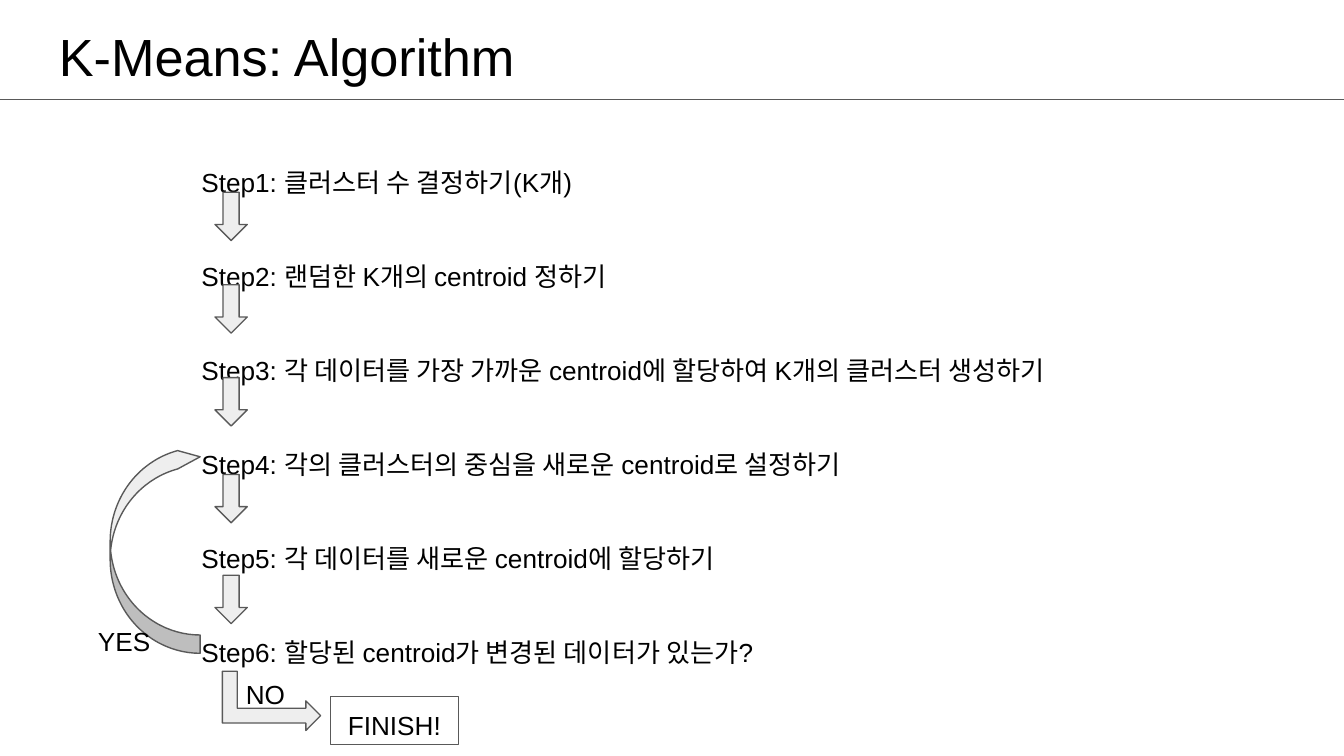
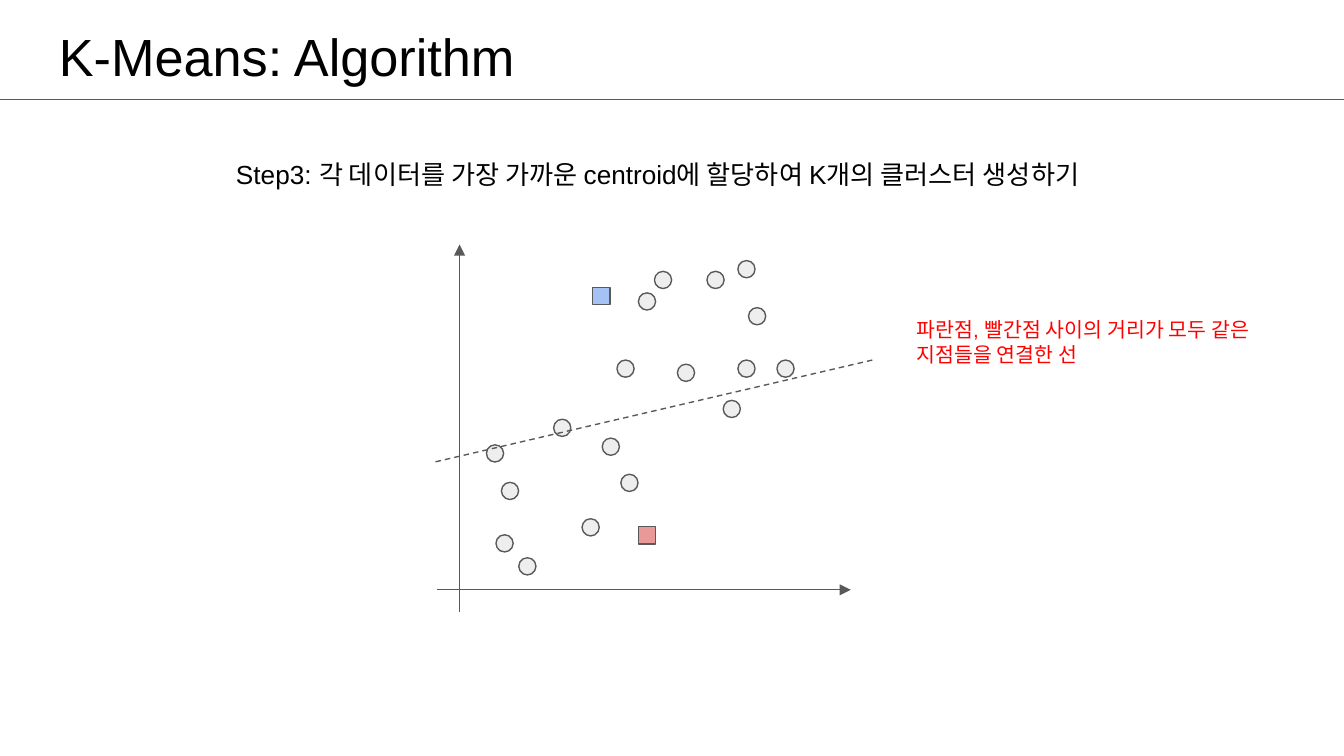
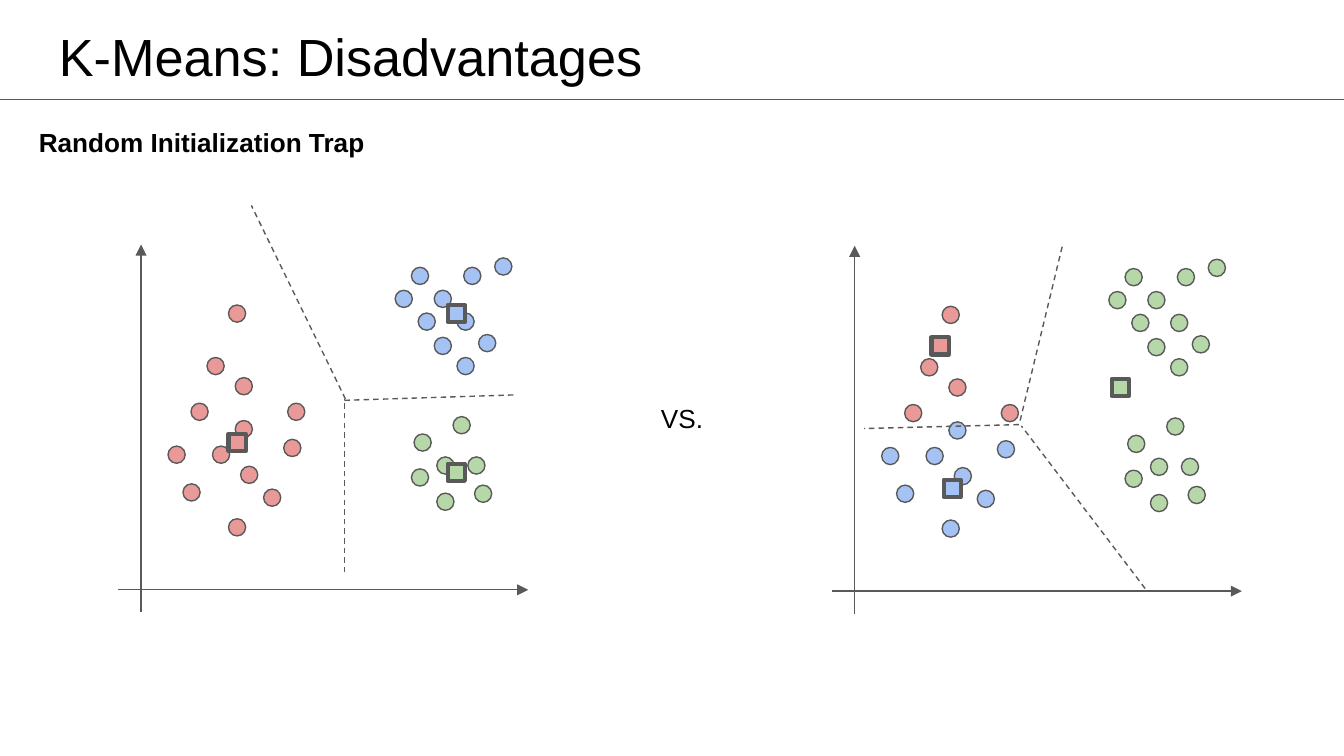
from lxml.etree import SubElement
from pptx import Presentation
from pptx.dml.color import RGBColor
from pptx.enum.dml import MSO_LINE
from pptx.enum.shapes import MSO_CONNECTOR, MSO_SHAPE
from pptx.enum.text import MSO_ANCHOR, PP_ALIGN
from pptx.oxml.ns import qn
from pptx.util import Pt

INK, RULE, GRAY = "000000", "595959", "EEEEEE"
RED, BLUE, GREEN, NOTE = "EA9999", "A4C2F4", "B6D7A8", "FF0000"


def color(code):
    return RGBColor.from_string(code)


def put(item, values):
    for name, value in values.items():
        setattr(item, name, value)


class Deck:
    font = "Arial"
    dot = 9.2   # side of a data point
    pad = 7.2   # text inset

    def __init__(self):
        self.show = Presentation()
        put(self.show, {"slide_width": Pt(720), "slide_height": Pt(405)})

    def page(self, title):
        """New slide with the shared title and rule."""
        self.slide = self.show.slides.add_slide(self.show.slide_layouts[6])
        self.text([title], 24.5, 5.8, 671, 45.4, size=28)
        self.line((0, 53.2), (720.7, 53.2))

    def label(self, frame, lines, size=14, ink=INK, bold=None, pad=None,
              form=None):
        pad = self.pad if pad is None else pad
        put(frame, {"word_wrap": True, "vertical_anchor": MSO_ANCHOR.TOP,
                    "margin_left": Pt(self.pad), "margin_right": Pt(self.pad),
                    "margin_top": Pt(pad), "margin_bottom": Pt(pad)})
        for num, words in enumerate(lines):
            para = frame.add_paragraph() if num else frame.paragraphs[0]
            put(para, form or {})
            if num == 0:
                para.space_before = Pt(0)
            run = para.add_run()
            run.text = words
            put(run.font, {"name": self.font, "size": Pt(size), "bold": bold})
            run.font.color.rgb = color(ink)

    def text(self, lines, left, top, width, height, **look):
        box = self.slide.shapes.add_textbox(
            Pt(left), Pt(top), Pt(width), Pt(height))
        self.label(box.text_frame, lines, **look)

    def shape(self, kind, left, top, width, height, fill=None, edge=0.75,
              turn=0, bends=()):
        item = self.slide.shapes.add_shape(
            kind, Pt(left), Pt(top), Pt(width), Pt(height))
        item.shadow.inherit = False
        item.rotation = turn
        for num, bend in enumerate(bends):
            item.adjustments[num] = bend
        if fill:
            item.fill.solid()
            item.fill.fore_color.rgb = color(fill)
        else:
            item.fill.background()
        item.line.color.rgb = color(RULE)
        item.line.width = Pt(edge)
        return item

    def line(self, start, end, dash=False, arrow=False):
        item = self.slide.shapes.add_connector(
            MSO_CONNECTOR.STRAIGHT, *[Pt(n) for n in (*start, *end)])
        item.line.color.rgb = color(RULE)
        item.line.width = Pt(0.75)
        if dash:
            item.line.dash_style = MSO_LINE.DASH
        props = item.element.spPr
        if arrow:
            SubElement(props.find(qn("a:ln")), qn("a:tailEnd"),
                       type="triangle")
        SubElement(props, qn("a:effectLst"))

    # Plot parts, placed from the top left corner of the plot
    def axes(self, left, top, width):
        self.left, self.top = left, top
        self.line((left, top + 185), (left + width, top + 185), arrow=True)
        self.line((left + 12.2, top + 197), (left + 12.2, top), arrow=True)

    def marks(self, spots, fill, kind=MSO_SHAPE.OVAL, edge=0.75):
        for x, y in spots:
            self.shape(kind, self.left + x, self.top + y,
                       self.dot, self.dot, fill, edge)

    def center(self, spot, fill, edge=2.25):
        self.marks([spot], fill, MSO_SHAPE.RECTANGLE, edge)

    def split(self, *ends):
        for x1, y1, x2, y2 in ends:
            self.line((self.left + x1, self.top + y1),
                      (self.left + x2, self.top + y2), dash=True)


deck = Deck()
ASSIGN = "Step3: 각 데이터를 가장 가까운 centroid에 할당하여 K개의 클러스터 생성하기"

# Slide 1: the steps
deck.page("K-Means: Algorithm")
steps = ["Step1: 클러스터 수 결정하기(K개)",
         "Step2: 랜덤한 K개의 centroid 정하기",
         ASSIGN,
         "Step4: 각의 클러스터의 중심을 새로운 centroid로 설정하기",
         "Step5: 각 데이터를 새로운 centroid에 할당하기",
         "Step6: 할당된 centroid가 변경된 데이터가 있는가?"]
deck.text(steps, 100.8, 73.4, 594.7, 280,
          form={"line_spacing": 1.5, "space_before": Pt(25.2)})

# Loop back, way out and answers
deck.shape(MSO_SHAPE.CURVED_LEFT_ARROW, 59, 239.8, 48.2, 110.2, GRAY,
           turn=180, bends=(0.25, 0.204, 0.25))
deck.shape(MSO_SHAPE.BENT_UP_ARROW, 129.6, 349.2, 31.7, 52.6, GRAY,
           turn=90, bends=(0.25, 0.25, 0.25))
deck.text(["NO"], 124.6, 356.4, 41.8, 25.9)
deck.text(["YES"], 45.4, 327.6, 52.6, 25.9)
finish = deck.shape(MSO_SHAPE.RECTANGLE, 177.1, 373, 68.4, 25.9)
deck.label(finish.text_frame, ["FINISH!"],
           form={"alignment": PP_ALIGN.CENTER})

# Arrows between steps
for top in (103, 152.6, 202.3, 254.2, 308.2):
    deck.shape(MSO_SHAPE.DOWN_ARROW, 115.2, top, 17.3, 25.9, GRAY)

# Slide 2: assigning points
deck.page("K-Means: Algorithm")
deck.text([ASSIGN], 58.3, 69.1, 588.2, 34.6,
          form={"alignment": PP_ALIGN.CENTER, "line_spacing": 1.5})
deck.axes(234, 131, 221.8)
deck.marks([(116.6, 14.4), (144.7, 14.4), (26.6, 107.3), (34.6, 127.4),
            (77.8, 146.9), (62.6, 93.6), (182.2, 61.9), (31.7, 155.5),
            (161.3, 61.9), (108, 25.9), (128.9, 64.1), (161.3, 8.6),
            (96.5, 61.9), (43.9, 167.8), (153.4, 83.5), (167, 33.8),
            (98.6, 123.1), (88.6, 103.7)], GRAY)
deck.center((108, 151.2), RED, 0.75)
deck.center((83.5, 23), BLUE, 0.75)
deck.split((233.3, 61.9, -1.4, 116.6))
deck.text(["파란점, 빨간점 사이의 거리가 모두 같은 지점들을 연결한 선"],
          483.8, 166.3, 211.7, 33.8, size=11, ink=NOTE, pad=3.6)

# Slide 3: two outcomes on the same data
deck.page("K-Means: Disadvantages")
deck.text(["Random Initialization Trap"], 13.7, 60.5, 260.6, 25.2, bold=True)
upper = [(90.7, 85), (38.9, 85), (62.6, 71.3), (47.5, 60.5), (59, 32.4)]
lower = [(26.6, 108), (50.4, 108), (65.5, 118.8), (34.6, 128.2),
         (59, 146.9), (62.6, 94.3), (77.8, 131), (88.6, 104.4)]
north = [(157, 12.2), (169.2, 24.5), (181.4, 36.7), (185, 12.2),
         (148.3, 24.5), (169.2, 49.7), (201.6, 7.2), (181.4, 60.5),
         (193, 48.2), (160.6, 36.7)]
south = [(158.4, 101.5), (190.8, 128.9), (187.2, 113.8), (157, 120.2),
         (179.3, 92.2), (170.6, 133.2), (170.6, 113.8)]

plots = [
    (63.4, 131, (RED, RED, BLUE, GREEN),
     [((176.4, 32.4), BLUE), ((59, 101.5), RED), ((176.4, 117.4), GREEN)],
     [(121.7, 82.8, 71.3, -20.9), (211.7, 80.6, 120.2, 83.5),
      (121, 175.7, 121, 82.8)]),
    (445.7, 131.7, (RED, BLUE, GREEN, GREEN),
     [((59.8, 125.3), BLUE), ((53.3, 49), RED), ((149.8, 71.3), GREEN)],
     [(100.8, 93.6, 123.8, -1.4), (100.1, 95.8, 17.3, 97.9),
      (167.8, 183.6, 101.5, 96.5)]),
]
for left, top, fills, centers, cuts in plots:
    deck.axes(left, top, 219.6)
    for spots, fill in zip((upper, lower, north, south), fills):
        deck.marks(spots, fill)
    for spot, fill in centers:
        deck.center(spot, fill)
    deck.split(*cuts)
deck.text(["VS."], 347, 208.1, 39.6, 25.2)

deck.show.save("out.pptx")
